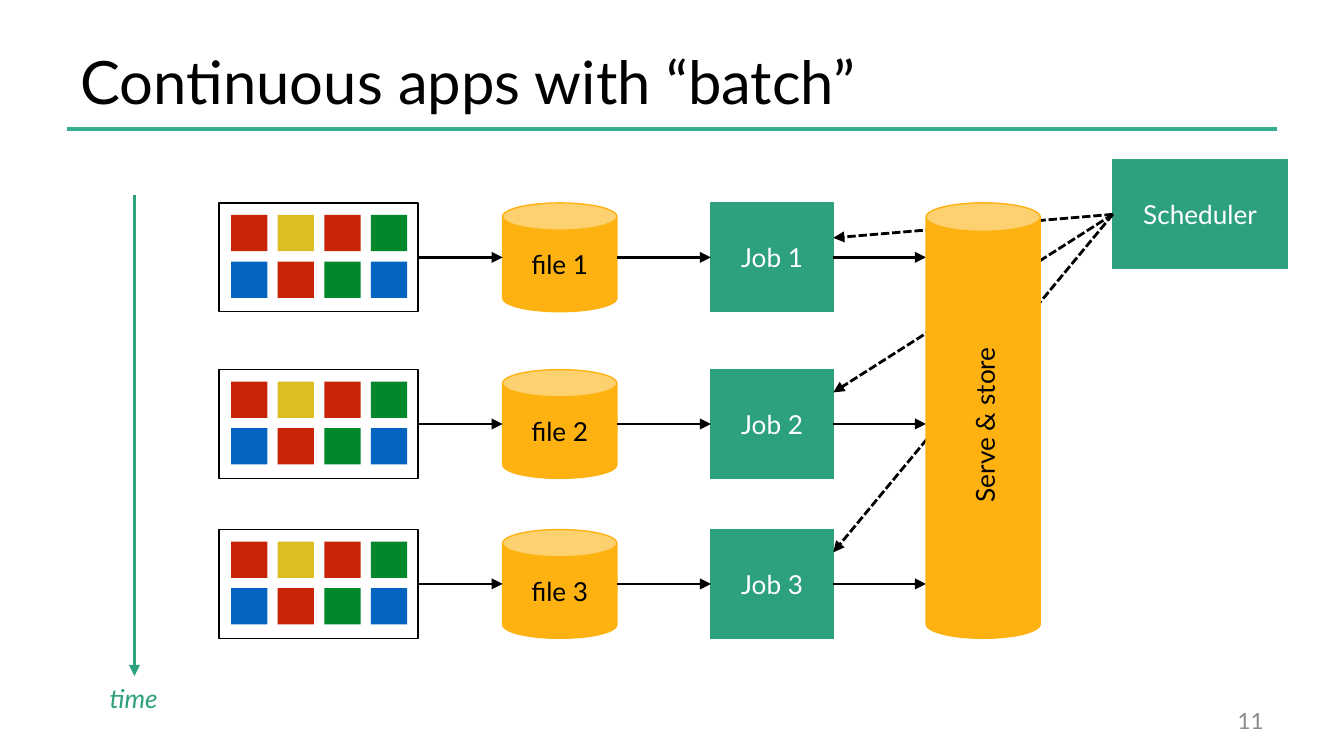
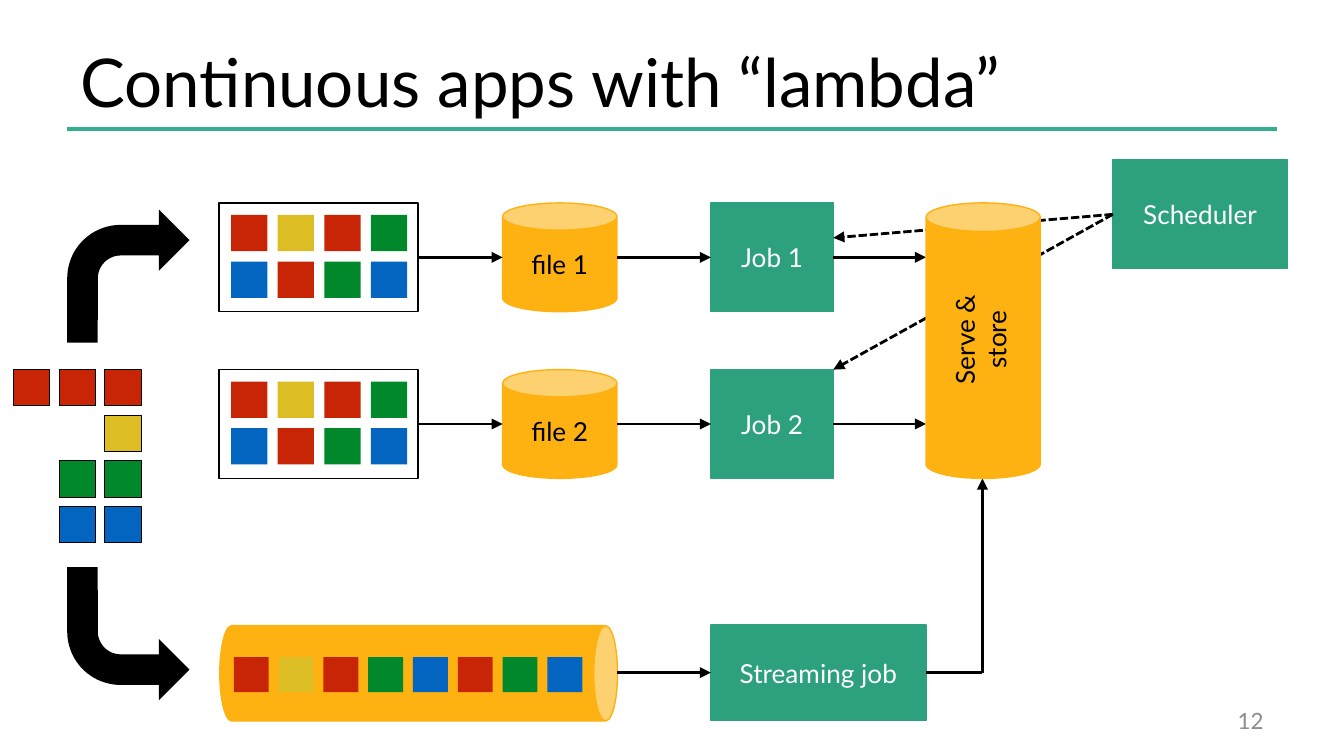
from dataclasses import dataclass

from lxml import etree
from pptx import Presentation
from pptx.dml.color import RGBColor
from pptx.enum.dml import MSO_LINE
from pptx.enum.shapes import MSO_CONNECTOR, MSO_SHAPE
from pptx.enum.text import MSO_ANCHOR, PP_ALIGN
from pptx.oxml.ns import qn
from pptx.util import Inches, Pt

RECT, CAN, BENT_ARROW = MSO_SHAPE.RECTANGLE, MSO_SHAPE.CAN, MSO_SHAPE.BENT_ARROW
STRAIGHT = MSO_CONNECTOR.STRAIGHT
DASHED = MSO_LINE.SQUARE_DOT
LEFT, CENTER, RIGHT = PP_ALIGN.LEFT, PP_ALIGN.CENTER, PP_ALIGN.RIGHT
TOP, MIDDLE = MSO_ANCHOR.TOP, MSO_ANCHOR.MIDDLE
LEFT_SIDE, RIGHT_SIDE = 1, 3


@dataclass(frozen=True)
class Theme:
    font: str = "Lato"
    black: str = "000000"
    white: str = "FFFFFF"
    grey: str = "8C8C8C"
    rule: str = "34AD91"
    green: str = "2DA07E"
    amber: str = "FDB212"
    label_size: int = 14
    number_size: int = 12
    thin: float = 0.75
    hairline: float = 0.5
    arrow: float = 1.5
    rule_width: float = 2


THEME = Theme()
EVENT_COLOURS = {"R": "C82506", "Y": "DCBD23", "G": "00882B", "B": "0365C0"}

# Layout shared by both pipelines
ROW_HEIGHT = 0.81
FRAME_LEFT, FRAME_WIDTH = 1.63, 1.48
FILE_LEFT, CAN_WIDTH = 3.74, 0.85
JOB_LEFT, JOB_WIDTH = 5.29, 0.91
STORE_LEFT = 6.89
TILE, TILE_PITCH = 0.27, 1.04 / 3
STREAM_TILE, STREAM_PITCH = 0.26, 1 / 3


def colour(value):
    return RGBColor.from_string(value)


def write(shape, text, size, ink, align=CENTER, anchor=MIDDLE, italic=False):
    frame = shape.text_frame
    frame.word_wrap = True
    frame.vertical_anchor = anchor
    frame.text = text
    para = frame.paragraphs[0]
    para.alignment = align
    font = para.runs[0].font
    font.name, font.size, font.italic = THEME.font, Pt(size), italic
    font.color.rgb = colour(ink)


def add_text(page, area, text, size, ink, **style):
    box = page.shapes.add_textbox(*map(Inches, area))
    write(box, text, size, ink, **style)
    return box


def add_box(shapes, kind, area, fill, line=None, width=THEME.thin):
    box = shapes.add_shape(kind, *map(Inches, area))
    box.shadow.inherit = False
    box.fill.solid()
    box.fill.fore_color.rgb = colour(fill)
    if line:
        box.line.color.rgb = colour(line)
        box.line.width = Pt(width)
    else:
        box.line.fill.background()
    return box


def add_job(page, area, label):
    job = add_box(page.shapes, RECT, area, THEME.green, THEME.green)
    write(job, label, THEME.label_size, THEME.white)
    return job


def add_can(page, area):
    return add_box(page.shapes, CAN, area, THEME.amber, THEME.amber)


def add_line(page, start, end, source=None, target=None, ink=THEME.black,
             width=THEME.arrow, dash=None, head=True):
    line = page.shapes.add_connector(STRAIGHT, *map(Inches, (*start, *end)))
    if source is not None:
        line.begin_connect(source, RIGHT_SIDE if end[0] > start[0] else LEFT_SIDE)
    if target is not None:
        line.end_connect(target, LEFT_SIDE)
    line.line.color.rgb = colour(ink)
    line.line.width = Pt(width)
    if dash:
        line.line.dash_style = dash
    properties = line.element.spPr
    if head:
        outline = properties.find(qn("a:ln"))
        etree.SubElement(outline, qn("a:tailEnd"), type="triangle")
    etree.SubElement(properties, qn("a:effectLst"))


def add_tiles(shapes, rows, left, top, size=TILE, pitch=TILE_PITCH, line=None):
    """Draw one coloured square per letter; a space leaves a gap."""
    for row, letters in enumerate(rows):
        for column, letter in enumerate(letters):
            if letter in EVENT_COLOURS:
                area = (left + column * pitch, top + row * pitch, size, size)
                add_box(shapes, RECT, area, EVENT_COLOURS[letter], line, THEME.hairline)


def add_batch(page, top):
    group = page.shapes.add_group_shape()
    area = (FRAME_LEFT, top, FRAME_WIDTH, ROW_HEIGHT)
    frame = add_box(group.shapes, RECT, area, THEME.white, THEME.black)
    add_tiles(group.shapes, ("RYRG", "BRGB"), FRAME_LEFT + 0.09, top + 0.09)
    return frame


def add_pipeline(page, number, top):
    """Draw batch, file and job, with arrows on to the store."""
    middle = top + ROW_HEIGHT / 2
    frame = add_batch(page, top)
    file_can = add_can(page, (FILE_LEFT, top, CAN_WIDTH, ROW_HEIGHT))
    write(file_can, f"file {number}", THEME.label_size, THEME.black)
    job = add_job(page, (JOB_LEFT, top, JOB_WIDTH, ROW_HEIGHT), f"Job {number}")
    add_line(page, (FRAME_LEFT + FRAME_WIDTH, middle), (FILE_LEFT, middle), source=frame)
    add_line(page, (FILE_LEFT + CAN_WIDTH, middle), (JOB_LEFT, middle), target=job)
    add_line(page, (JOB_LEFT + JOB_WIDTH, middle), (STORE_LEFT, middle), source=job)


def add_scheduler(page, trigger_heights):
    left, top, width = 8.28, 1.19, 1.3
    scheduler = add_job(page, (left, top, width, ROW_HEIGHT), "Scheduler")
    for height in trigger_heights:
        add_line(page, (left, top + ROW_HEIGHT / 2), (JOB_LEFT + JOB_WIDTH, height),
                 source=scheduler, dash=DASHED)


def add_store(page, top, height, label_area):
    add_can(page, (STORE_LEFT, top, CAN_WIDTH, height))
    label = add_text(page, label_area, "Serve & store", THEME.label_size,
                     THEME.black, anchor=TOP)
    label.rotation = 270


def add_page(deck, title, title_size, number):
    page = deck.slides.add_slide(deck.slide_layouts[6])
    add_line(page, (0.5, 0.96), (9.5, 0.96), ink=THEME.rule,
             width=THEME.rule_width, head=False)
    add_text(page, (0.5, 0.23, 8.17, 0.74), title, title_size, THEME.black, align=LEFT)
    add_text(page, (7.17, 5.21, 2.33, 0.3), str(number), THEME.number_size,
             THEME.grey, align=RIGHT)
    return page


def build_batch_page(deck):
    page = add_page(deck, "Continuous apps with “batch”", 32, 11)
    for number, top in enumerate((1.51, 2.75, 3.94), start=1):
        add_pipeline(page, number, top)

    # Time axis
    add_line(page, (1, 1.45), (1, 5.03), ink=THEME.green)
    add_text(page, (0.6, 5.03, 0.79, 0.34), "time", THEME.label_size, THEME.green,
             anchor=TOP, italic=True)

    add_scheduler(page, (1.77, 2.92, 4.11))
    add_store(page, 1.51, 3.24, (6.11, 2.99, 2.44, 0.34))


def build_lambda_page(deck):
    page = add_page(deck, "Continuous apps with “lambda”", 36, 12)
    for number, top in enumerate((1.51, 2.75), start=1):
        add_pipeline(page, number, top)
    add_scheduler(page, (1.77, 2.75))

    # Incoming events, sent both ways
    events = page.shapes.add_group_shape()
    add_tiles(events.shapes, ("RRR", "  Y", " GG", " BB"), 0.1, 2.75,
              pitch=0.34, line=THEME.black)
    add_box(page.shapes, BENT_ARROW, (0.5, 1.56, 0.91, 0.99), THEME.black)
    down_arrow = add_box(page.shapes, BENT_ARROW, (0.5, 4.22, 0.91, 0.99), THEME.black)
    down_arrow.element.spPr.find(qn("a:xfrm")).set("flipV", "1")

    # Stream and its job
    stream = add_can(page, (2.76, 3.53, 0.71, 2.96))
    stream.rotation = 90
    add_tiles(page.shapes, ("RYRGBRGB",), 1.74, 4.89, STREAM_TILE, STREAM_PITCH)
    job_top, job_height, store_middle = 4.65, 0.71, 7.31
    middle = job_top + job_height / 2
    job = add_job(page, (JOB_LEFT, job_top, 1.6, job_height), "Streaming job")
    add_line(page, (FILE_LEFT + CAN_WIDTH, middle), (JOB_LEFT, middle), target=job)
    add_line(page, (store_middle, middle), (store_middle, 3.56))
    add_line(page, (STORE_LEFT, middle), (store_middle, middle), source=job, head=False)

    add_store(page, 1.51, 2.05, (6.67, 2.24, 1.25, 0.57))


def main():
    deck = Presentation()
    deck.slide_width = Inches(10)
    deck.slide_height = deck.slide_width * 9 // 16
    build_batch_page(deck)
    build_lambda_page(deck)
    deck.save("out.pptx")


if __name__ == "__main__":
    main()
